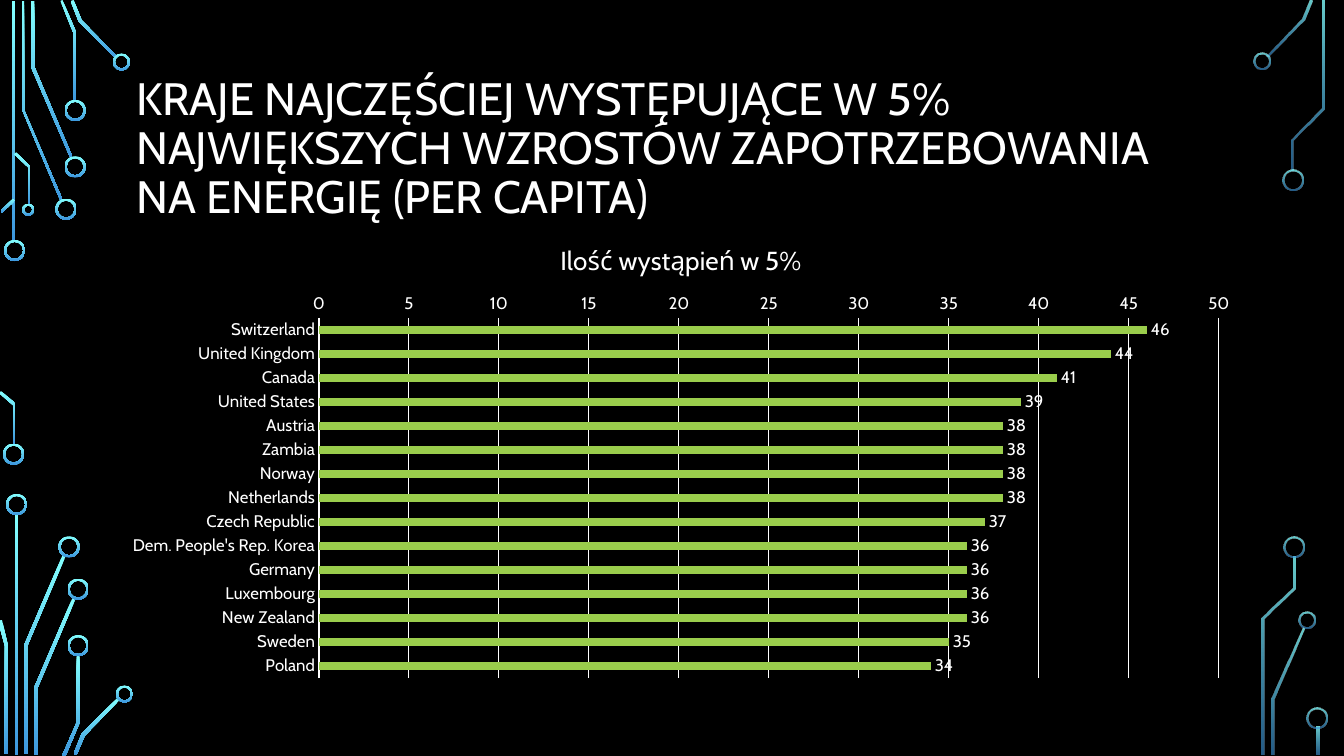
from lxml.etree import SubElement
from pptx import Presentation
from pptx.chart.data import CategoryChartData
from pptx.dml.color import RGBColor
from pptx.enum.chart import XL_CHART_TYPE, XL_LABEL_POSITION, XL_TICK_MARK
from pptx.enum.shapes import MSO_SHAPE
from pptx.enum.text import MSO_ANCHOR, MSO_AUTO_SIZE, PP_ALIGN
from pptx.oxml.ns import qn
from pptx.util import Pt

PX = 9144
WHITE = "FFFFFF"
BRIGHT = (100, 100)
FAINT = (80, 60)


def style_font(font, size):
    font.name = "Cabin"
    font.size = Pt(size)
    font.bold = False
    font.color.rgb = RGBColor.from_string(WHITE)


def paint_circuit(part, opacities):
    part.shadow.inherit = False
    part.line.fill.background()
    part.fill.gradient()
    part.fill.gradient_angle = 270
    for stop, color, position in zip(part.fill.gradient_stops, ("82FFFF", "3D97DE"), (0, 1)):
        stop.color.rgb = RGBColor.from_string(color)
        stop.position = position
    for tint, opacity in zip(part._element.spPr.iter(qn("a:srgbClr")), opacities):
        if opacity < 100:
            SubElement(tint, qn("a:alpha")).set("val", str(opacity * 1000))


prs = Presentation()
prs.slide_width = 1333 * PX
prs.slide_height = 750 * PX
slide = prs.slides.add_slide(prs.slide_layouts[5])
slide.background.fill.solid()
slide.background.fill.fore_color.rgb = RGBColor.from_string("000000")

straight_traces = [
    (12, 1, 3, 239, BRIGHT),
    (15, 510, 3, 239, BRIGHT),
    (1306, 721, 3, 28, FAINT),
]
for left, top, width, height, opacities in straight_traces:
    trace = slide.shapes.add_shape(
        MSO_SHAPE.RECTANGLE, left * PX, top * PX, width * PX, height * PX)
    paint_circuit(trace, opacities)

bent_traces = [
    (BRIGHT, [(60, 199), (22, 109), (22, 1), (24, 1), (24, 109), (62, 198)]),
    (BRIGHT, [(70, 157), (31, 67), (31, 1), (34, 1), (34, 66), (72, 156)]),
    (BRIGHT, [(76, 100), (73, 100), (73, 33), (60, 1), (62, 0), (76, 33)]),
    (BRIGHT, [(115, 58), (78, 21), (70, 1), (73, 0), (81, 20), (116, 56)]),
    (BRIGHT, [(2, 211), (1, 209), (13, 197), (15, 199)]),
    (BRIGHT, [(15, 441), (13, 441), (13, 402), (-1, 390), (1, 388), (15, 400)]),
    (BRIGHT, [(30, 203), (28, 203), (28, 166), (14, 153), (16, 151), (30, 165)]),
    (BRIGHT, [(27, 748), (24, 748), (24, 640), (62, 551), (65, 552), (27, 641)]),
    (BRIGHT, [(8, 748), (5, 748), (5, 641), (-2, 616), (2, 615), (8, 641)]),
    (BRIGHT, [(37, 749), (34, 749), (34, 682), (72, 593), (75, 594), (37, 683)]),
    (BRIGHT, [(65, 750), (62, 749), (76, 717), (76, 650), (79, 650), (79, 717)]),
    (BRIGHT, [(76, 749), (73, 748), (81, 728), (117, 692), (119, 694), (84, 730)]),
    (FAINT, [(1258, 56), (1256, 55), (1291, 19), (1299, 0), (1302, 1), (1294, 20)]),
    (FAINT, [(1264, 749), (1261, 749), (1261, 693), (1292, 623), (1294, 624), (1264, 694)]),
    (FAINT, [(1283, 169), (1281, 169), (1281, 138), (1311, 107), (1311, 1), (1314, 1),
             (1314, 108), (1283, 139)]),
    (FAINT, [(1254, 749), (1251, 749), (1251, 613), (1282, 583), (1282, 552), (1285, 552),
             (1285, 584), (1254, 614)]),
]
for opacities, corners in bent_traces:
    outline = slide.shapes.build_freeform(*corners[0], scale=PX)
    outline.add_line_segments(corners[1:], close=True)
    paint_circuit(outline.convert_to_shape(), opacities)

bright_nodes = [
    (4, 238, 21), (3, 440, 21), (55, 197, 21), (64, 155, 21), (64, 99, 21), (112, 53, 17),
    (22, 202, 12), (6, 490, 21), (58, 532, 21), (67, 574, 21), (67, 630, 21), (115, 680, 17),
]
faint_nodes = [
    (1243, 52, 17), (1272, 168, 21), (1288, 607, 17), (1273, 532, 21), (1296, 702, 21),
]
for nodes, opacities in ((bright_nodes, BRIGHT), (faint_nodes, FAINT)):
    for left, top, diameter in nodes:
        node = slide.shapes.add_shape(
            MSO_SHAPE.DONUT, left * PX, top * PX, diameter * PX, diameter * PX)
        node.adjustments[0] = 2 / diameter
        paint_circuit(node, opacities)

title = slide.shapes.title
title.left, title.top, title.width, title.height = 125 * PX, 68 * PX, 1083 * PX, 162 * PX
heading = title.text_frame
heading.text = ("KRAJE NAJCZĘŚCIEJ WYSTĘPUJĄCE W 5% NAJWIĘKSZYCH WZROSTÓW "
                "ZAPOTRZEBOWANIA NA ENERGIĘ (PER CAPITA)")
heading.word_wrap = True
heading.auto_size = MSO_AUTO_SIZE.NONE
heading.vertical_anchor = MSO_ANCHOR.MIDDLE
heading.paragraphs[0].alignment = PP_ALIGN.LEFT
heading.paragraphs[0].line_spacing = 0.9
style_font(heading.paragraphs[0].runs[0].font, 32.4)

occurrences = {
    "Switzerland": 46, "United Kingdom": 44, "Canada": 41, "United States": 39,
    "Austria": 38, "Zambia": 38, "Norway": 38, "Netherlands": 38,
    "Czech Republic": 37, "Dem. People's Rep. Korea": 36, "Germany": 36,
    "Luxembourg": 36, "New Zealand": 36, "Sweden": 35, "Poland": 34,
}
measure = "Ilość wystąpień w 5%"
data = CategoryChartData()
data.categories = list(occurrences)
data.add_series(measure, list(occurrences.values()))
chart = slide.shapes.add_chart(
    XL_CHART_TYPE.BAR_CLUSTERED, 109 * PX, 221 * PX, 1133 * PX, 461 * PX, data).chart
style_font(chart.font, 10)
chart.has_legend = False
chart.has_title = True
chart.chart_title.include_in_layout = False
chart.chart_title.text_frame.text = measure
style_font(chart.chart_title.text_frame.paragraphs[0].runs[0].font, 18.6)

countries = chart.category_axis
countries.reverse_order = True
countries.format.line.color.rgb = RGBColor.from_string(WHITE)
countries.format.line.width = Pt(0.75)

scale = chart.value_axis
scale.minimum_scale = 0
scale.maximum_scale = 50
scale.major_unit = 5
scale.format.line.fill.background()
scale.has_major_gridlines = True
scale.major_gridlines.format.line.color.rgb = RGBColor.from_string(WHITE)
scale.major_gridlines.format.line.width = Pt(0.75)
for axis in (countries, scale):
    axis.major_tick_mark = XL_TICK_MARK.NONE
    axis.minor_tick_mark = XL_TICK_MARK.NONE
    style_font(axis.tick_labels.font, 12)

plot = chart.plots[0]
plot.gap_width = 182
plot.vary_by_categories = False
bars = plot.series[0]
bars.invert_if_negative = False
bars.format.fill.solid()
bars.format.fill.fore_color.rgb = RGBColor.from_string("9ACD4C")
counts = bars.data_labels
counts.show_value = True
counts.position = XL_LABEL_POSITION.OUTSIDE_END
style_font(counts.font, 12)

prs.save("out.pptx")
